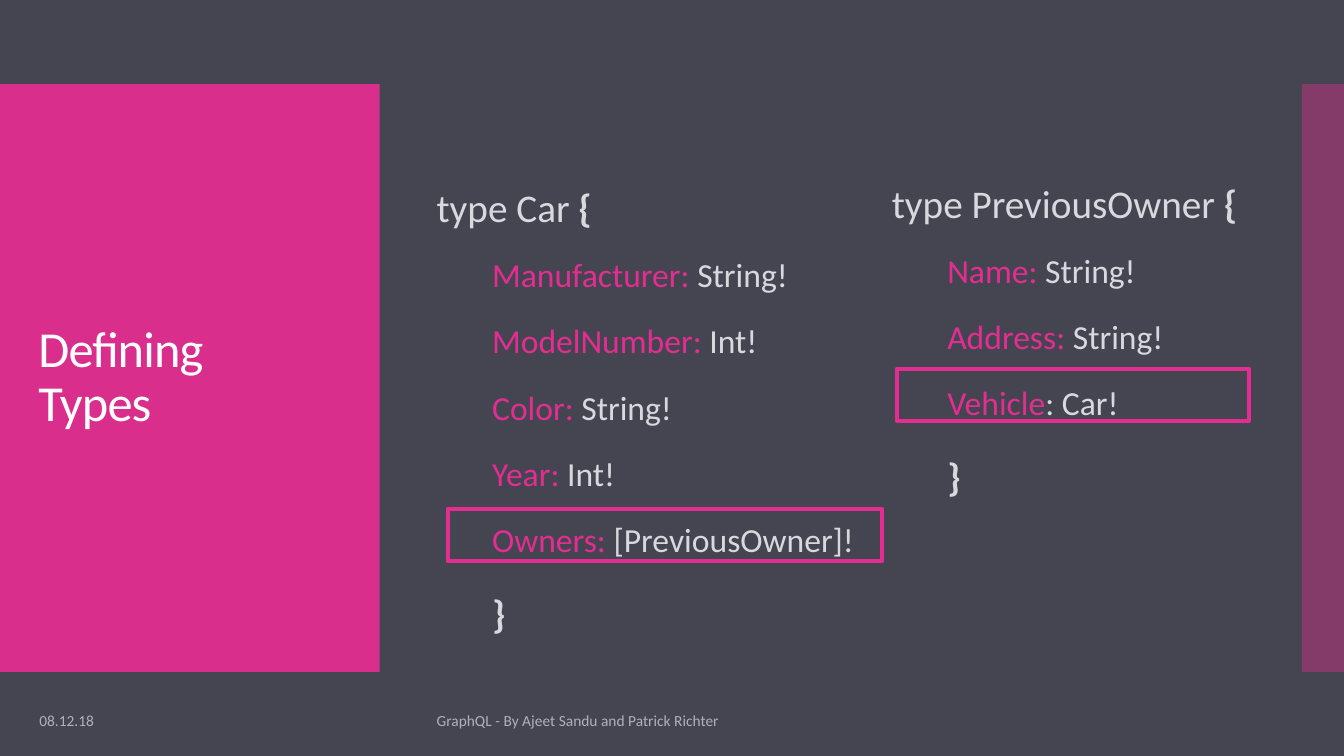
from dataclasses import dataclass

from lxml import etree
from pptx import Presentation
from pptx.dml.color import RGBColor
from pptx.enum.shapes import MSO_SHAPE
from pptx.enum.text import MSO_ANCHOR
from pptx.oxml.ns import qn
from pptx.util import Inches, Pt

RECT = MSO_SHAPE.RECTANGLE
MIDDLE = MSO_ANCHOR.MIDDLE
COLS, ROWS = 160, 90
CELL = Inches(1) / 12


@dataclass(frozen=True)
class Theme:
    font: str = "Calibri"
    back: str = "454551"
    pink: str = "E32D91"
    white: str = "FFFFFF"
    pale: str = "D8D8DE"
    grey: str = "B1B1BD"
    title: int = 36
    head: int = 28
    field: int = 24
    foot: int = 11
    line: int = 3


@dataclass(frozen=True)
class Box:
    """Place in grid columns and rows."""
    col: float
    row: float
    wide: float
    high: float

    def emu(self) -> list[int]:
        return [cells(n) for n in (self.col, self.row, self.wide, self.high)]


@dataclass(frozen=True)
class Panel:
    box: Box
    alpha: int


@dataclass(frozen=True)
class Label:
    box: Box
    text: str
    size: int
    color: str
    space: float = 1.0
    track: int = 0


@dataclass(frozen=True)
class Schema:
    box: Box
    name: str
    fields: tuple[tuple[str, str], ...]


THEME = Theme()
PANELS = (
    Panel(Box(0, 10, 45.2, 70), 95),
    Panel(Box(155, 10, 5, 70), 40),
)
LABELS = (
    Label(Box(3.4, 14.8, 38.6, 60.4), "Defining\vTypes",
          THEME.title, THEME.white, 0.9, -60),
    Label(Box(3.5, 83.4, 36, 4.8), "08.12.18", THEME.foot, THEME.grey),
    Label(Box(50.8, 83.4, 77.5, 4.8),
          "GraphQL - By Ajeet Sandu and Patrick Richter",
          THEME.foot, THEME.grey),
)
SCHEMAS = (
    Schema(Box(50.8, 10.7, 73.8, 77), "Car", (
        ("Manufacturer:", " String!"),
        ("ModelNumber:", " Int!"),
        ("Color:", " String!"),
        ("Year:", " Int!"),
        ("Owners:", " [PreviousOwner]!"),
    )),
    Schema(Box(105, 6.1, 55, 69.4), "PreviousOwner", (
        ("Name:", " String!"),
        ("Address:", " String!"),
        ("Vehicle", ": Car!"),
    )),
)
FRAMES = (Box(106.8, 43.9, 41.9, 6.2), Box(53.3, 60.6, 51.7, 6.2))


def cells(count: float) -> int:
    return round(count * CELL)


def rgb(color: str) -> RGBColor:
    return RGBColor.from_string(color)


def style(font, size: int, color: str) -> None:
    font.name = THEME.font
    font.size = Pt(size)
    font.color.rgb = rgb(color)


def add_rect(slide, box: Box):
    shape = slide.shapes.add_shape(RECT, *box.emu())
    shape.shadow.inherit = False
    return shape


def add_panel(slide, panel: Panel) -> None:
    shape = add_rect(slide, panel.box)
    shape.line.fill.background()
    shape.fill.solid()
    shape.fill.fore_color.rgb = rgb(THEME.pink)
    tint = shape.fill._xPr.find(f".//{qn('a:srgbClr')}")
    etree.SubElement(tint, qn("a:alpha"), val=str(panel.alpha * 1000))


def add_frame(slide, box: Box) -> None:
    shape = add_rect(slide, box)
    shape.fill.background()
    shape.line.color.rgb = rgb(THEME.pink)
    shape.line.width = Pt(THEME.line)


def add_text(slide, box: Box):
    frame = slide.shapes.add_textbox(*box.emu()).text_frame
    frame.word_wrap = True
    frame.vertical_anchor = MIDDLE
    return frame


def add_label(slide, label: Label) -> None:
    para = add_text(slide, label.box).paragraphs[0]
    para.text = label.text
    para.line_spacing = label.space
    style(para.font, label.size, label.color)
    for run in para.runs:
        style(run.font, label.size, label.color)
        if label.track:
            run._r.get_or_add_rPr().set("spc", str(label.track))


def add_run(para, text: str, size: int, color: str, bold: bool = False) -> None:
    run = para.add_run()
    run.text = text
    style(run.font, size, color)
    run.font.bold = bold


def add_inner(frame):
    """Add an indented line of a type's body."""
    para = frame.add_paragraph()
    para.line_spacing = 1.5
    para.space_before = para.space_after = Pt(2.1)
    props = para._p.get_or_add_pPr()
    props.set("marL", str(cells(6.6)))
    props.set("indent", "0")
    return para


def add_schema(slide, schema: Schema) -> None:
    frame = add_text(slide, schema.box)
    frame.margin_bottom = cells(4.2)
    head = frame.paragraphs[0]
    head.line_spacing = 1.5
    head.space_before = Pt(12)
    add_run(head, f"type {schema.name} ", THEME.head, THEME.pale)
    add_run(head, "{", THEME.head, THEME.pale, True)
    for key, kind in schema.fields:
        para = add_inner(frame)
        add_run(para, key, THEME.field, THEME.pink)
        add_run(para, kind, THEME.field, THEME.pale)
    add_run(add_inner(frame), "}", THEME.head, THEME.pale, True)


def main() -> None:
    deck = Presentation()
    deck.slide_width, deck.slide_height = cells(COLS), cells(ROWS)
    slide = deck.slides.add_slide(deck.slide_layouts[6])
    slide.background.fill.solid()
    slide.background.fill.fore_color.rgb = rgb(THEME.back)
    for panel in PANELS:
        add_panel(slide, panel)
    for label in LABELS:
        add_label(slide, label)
    for schema in SCHEMAS:
        add_schema(slide, schema)
    for box in FRAMES:
        add_frame(slide, box)
    deck.save("out.pptx")


if __name__ == "__main__":
    main()
